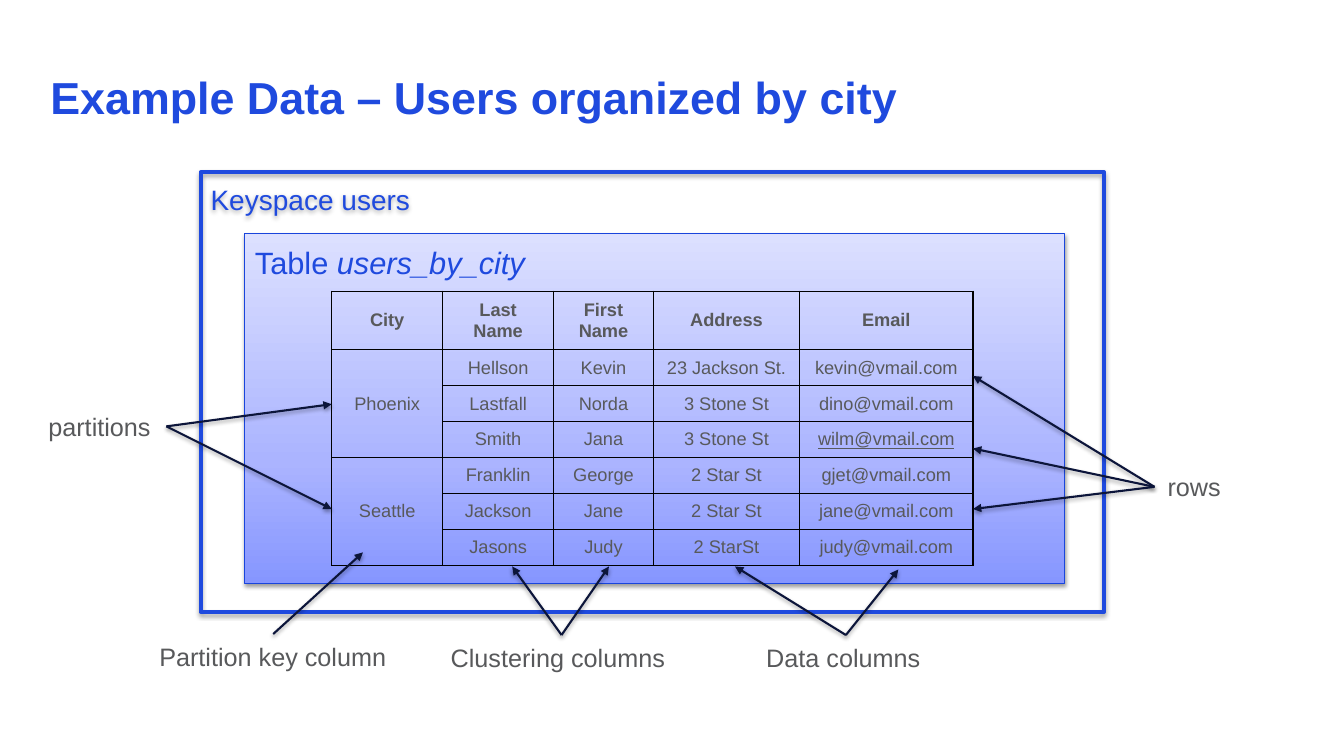
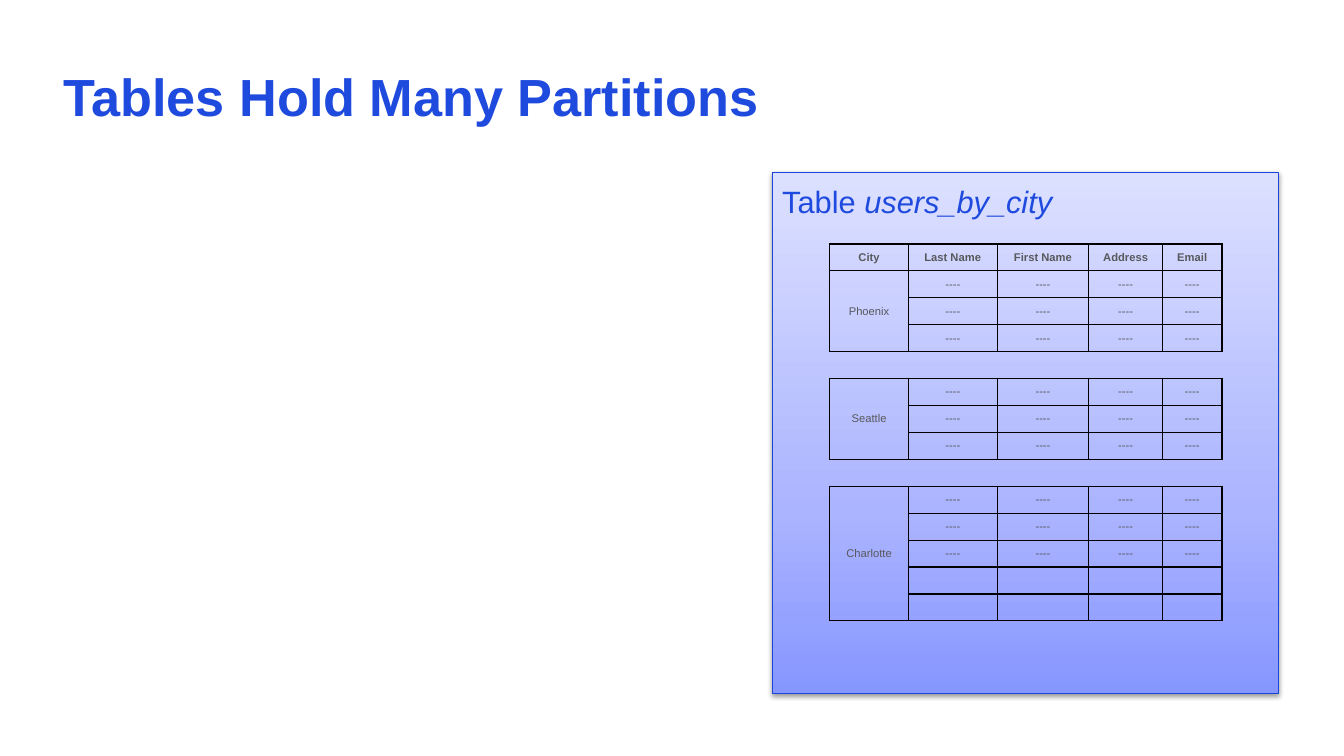
import pptx
import pptx.dml.color
import pptx.enum.shapes
import pptx.enum.text
import pptx.oxml
import pptx.oxml.ns
import pptx.util

Inches = pptx.util.Inches
Pt = pptx.util.Pt

FONT = "Arial"
BLUE, EDGE, GREY, NAVY, BLACK = "1F4ADE", "1945DC", "58595B", "0C153A", "000000"
STOPS = [(0, "8696FF"), (35, "ABB4FF"), (100, "DCE0FF")]
PAD = (0.13, 0.07, 0.13, 0.07)
MID = pptx.enum.text.MSO_ANCHOR.MIDDLE
TOP = pptx.enum.text.MSO_ANCHOR.TOP
DASH = ["----"] * 4
HEADS = ["City", "Last Name", "First Name", "Address", "Email"]


def color(code):
    return pptx.dml.color.RGBColor.from_string(code)


def xml(text):
    """Parse one element in the drawing namespace."""
    tag, rest = text.split(" ", 1)
    return pptx.oxml.parse_xml(f"{tag} {pptx.oxml.ns.nsdecls('a')} {rest}")


def style(para, size, code, bold=False):
    font = para.font
    font.name, font.size, font.bold = FONT, Pt(size), bold
    font.color.rgb = color(code)


def inset(part, pad):
    part.margin_left, part.margin_top, part.margin_right, part.margin_bottom = map(Inches, pad)


def shade(shape, alpha, dist):
    """Add a soft shadow straight below a shape or line."""
    shape._element.spPr.append(xml(
        f'<a:effectLst ><a:outerShdw blurRad="{Pt(3.1)}" dist="{Pt(dist)}" dir="5400000" rotWithShape="0">'
        f'<a:srgbClr val="{BLACK}"><a:alpha val="{alpha * 1000}"/></a:srgbClr>'
        '</a:outerShdw></a:effectLst>'))


def label(slide, text, x, y, w, h=0.44, size=18):
    frame = slide.shapes.add_textbox(*map(Inches, (x, y, w, h))).text_frame
    frame.word_wrap = False
    inset(frame, PAD)
    frame.text = text
    style(frame.paragraphs[0], size, GREY)
    return frame


def title(slide, text, size, pad):
    frame = label(slide, text, 0.5, 0.5, 12.33, 0.98)
    frame.word_wrap = True
    frame.vertical_anchor = MID
    inset(frame, pad)
    para = frame.paragraphs[0]
    para.line_spacing = 0.9
    style(para, size, BLUE, True)


def box(slide, x, y, w, h, runs, size, edge, width):
    """Draw an outlined box with its caption at top left."""
    kind = pptx.enum.shapes.MSO_SHAPE.RECTANGLE
    shape = slide.shapes.add_shape(kind, *map(Inches, (x, y, w, h)))
    shape.fill.background()
    shape.line.color.rgb = color(edge)
    shape.line.width = Pt(width)
    frame = shape.text_frame
    frame.vertical_anchor = TOP
    inset(frame, (0.1, 0.1, 0.1, 0.07))
    para = frame.paragraphs[0]
    para.alignment = pptx.enum.text.PP_ALIGN.LEFT
    style(para, size, BLUE)
    for text, slant in runs:
        run = para.add_run()
        run.text = text
        if slant:
            run.font.italic = True
    return shape


def panel(slide, x, y, w, h):
    """Draw the shaded box that stands for the table."""
    runs = [("Table ", False), ("users_by_city", True)]
    shape = box(slide, x, y, w, h, runs, 22, EDGE, 0.75)
    stops = "".join(f'<a:gs pos="{pos * 1000}"><a:srgbClr val="{code}"/></a:gs>'
                    for pos, code in STOPS)
    props = shape._element.spPr
    old = props.find(pptx.oxml.ns.qn("a:noFill"))
    props.replace(old, xml(f'<a:gradFill rotWithShape="1"><a:gsLst>{stops}</a:gsLst>'
                           '<a:lin ang="16200000" scaled="0"/></a:gradFill>'))
    shade(shape, 38, 1.6)


def arrows(slide, start, ends):
    """Draw arrows from one point to several."""
    kind = pptx.enum.shapes.MSO_CONNECTOR.STRAIGHT
    for end in ends:
        line = slide.shapes.add_connector(kind, *map(Inches, start + end))
        line.line.color.rgb = color(NAVY)
        line.line.width = Pt(1.5)
        line.line._ln.append(xml('<a:tailEnd type="triangle"/>'))
        shade(line, 37, 1.6)


def border(cell):
    props = cell._tc.get_or_add_tcPr()
    for spot, side in enumerate(("lnL", "lnR", "lnT", "lnB")):
        props.insert(spot, xml(f'<a:{side} w="{Pt(1)}"><a:solidFill><a:srgbClr val="{BLACK}"/>'
                               f'</a:solidFill></a:{side}>'))


def grid(slide, x, y, cols, highs, rows, spans, size, head, pad=PAD):
    """Draw a table; spans holds (first row, count) for merged cities."""
    area = map(Inches, (x, y, sum(cols), sum(highs)))
    table = slide.shapes.add_table(len(rows), len(cols), *area).table
    table.first_row = table.horz_banding = False
    for col, wide in zip(table.columns, cols):
        col.width = Inches(wide)
    for r, (texts, high) in enumerate(zip(rows, highs)):
        table.rows[r].height = Inches(high)
        for c, text in enumerate(texts):
            cell = table.cell(r, c)
            cell.text = text
            cell.vertical_anchor = MID
            inset(cell, pad)
            cell.fill.background()
            border(cell)
            para = cell.text_frame.paragraphs[0]
            para.alignment = pptx.enum.text.PP_ALIGN.CENTER
            style(para, size, GREY, head and r == 0)
            if not text:
                para._p.get_or_add_endParaRPr().set("sz", str(size * 100))
    for first, count in spans:
        table.cell(first, 0).merge(table.cell(first + count - 1, 0))
    return table


def example(slide):
    title(slide, "Example Data – Users organized by city", 32, (0, 0, 0, 0))
    outer = box(slide, 1.99, 1.71, 8.96, 4.36, [("Keyspace users", False)], 20, BLUE, 3)
    shade(outer, 35, 1.8)
    panel(slide, 2.43, 2.32, 8.13, 3.47)

    # User records
    rows = [
        HEADS,
        ["Phoenix", "Hellson", "Kevin", "23 Jackson St.", "kevin@vmail.com"],
        ["", "Lastfall", "Norda", "3 Stone St", "dino@vmail.com"],
        ["", "Smith", "Jana", "3 Stone St", "wilm@vmail.com"],
        ["Seattle", "Franklin", "George", "2 Star St", "gjet@vmail.com"],
        ["", "Jackson", "Jane", "2 Star St", "jane@vmail.com"],
        ["", "Jasons", "Judy", "2 StarSt", "judy@vmail.com"],
    ]
    table = grid(slide, 3.29, 2.89, [1.1, 1.1, 0.99, 1.45, 1.72], [0.58] + [0.355] * 6,
                 rows, [(1, 3), (4, 3)], 13, True)
    table.cell(3, 4).text_frame.paragraphs[0].font.underline = True

    # Labels and their arrows
    notes = [
        ("partitions", 0.35, 4.01, 1.3, (1.65, 4.23), [(3.29, 4.01), (3.29, 5.05)]),
        ("rows", 11.45, 4.61, 0.8, (11.45, 4.83), [(9.65, 3.73), (9.65, 4.45), (9.65, 5.05)]),
        ("Partition key column", 1.45, 6.29, 2.52, (2.71, 6.29), [(3.6, 5.48)]),
        ("Clustering columns", 4.34, 6.3, 2.45, (5.57, 6.3), [(5.08, 5.62), (6.04, 5.62)]),
        ("Data columns", 7.47, 6.3, 1.84, (8.39, 6.3), [(7.29, 5.62), (8.91, 5.65)]),
    ]
    for text, x, y, w, start, ends in notes:
        label(slide, text, x, y, w)
        arrows(slide, start, ends)


def many(slide):
    panel(slide, 7.66, 1.71, 5.02, 5.17)
    title(slide, "Tables Hold Many Partitions", 37.3, PAD)

    # One small table per partition, one row height apart
    cols = [0.78, 0.88, 0.91, 0.73, 0.59]
    high = 3.74 / 14
    top = 2.42
    for city, full, bare in [("Phoenix", 3, 0), ("Seattle", 3, 0), ("Charlotte", 3, 2)]:
        head = city == "Phoenix"
        body = [["", *DASH] for _ in range(full)] + [[""] * 5 for _ in range(bare)]
        body[0][0] = city
        rows = [HEADS] * head + body
        grid(slide, 8.23, top, cols, [high] * len(rows), rows,
             [(int(head), len(body))], 8, head, (0.13, 0.06, 0.13, 0.06))
        top += (len(rows) + 1) * high


def main():
    deck = pptx.Presentation()
    deck.slide_width, deck.slide_height = Inches(13.33), Inches(7.5)
    for build in (example, many):
        build(deck.slides.add_slide(deck.slide_layouts[6]))
    deck.save("out.pptx")


if __name__ == "__main__":
    main()
